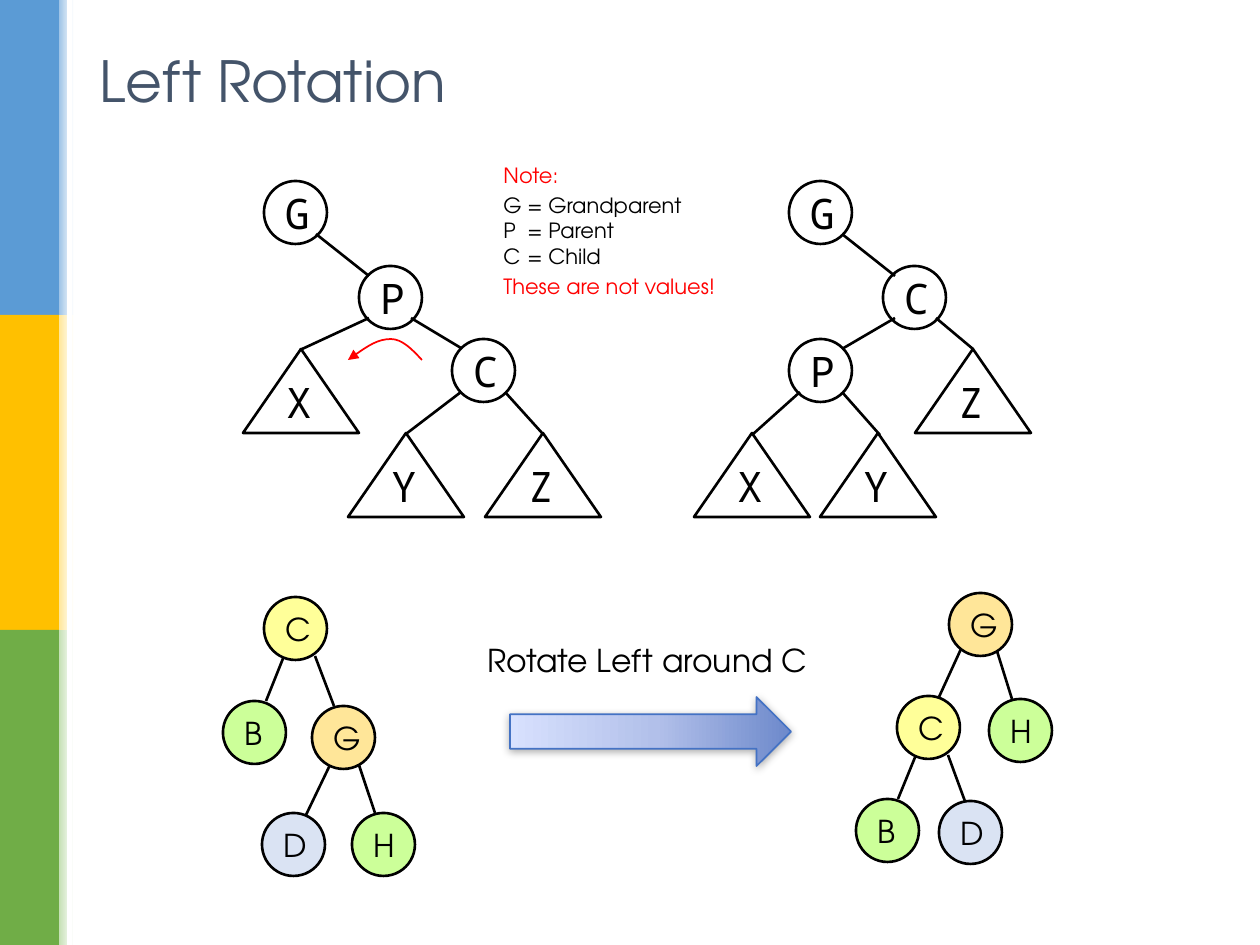
from lxml import etree
from pptx import Presentation
from pptx import util as u
from pptx.dml.color import RGBColor
from pptx.enum import shapes, text
from pptx.oxml import ns

SCALE = 914400 / 126  # EMU in one px
BLACK = RGBColor(0, 0, 0)
WHITE = RGBColor(255, 255, 255)
RED = RGBColor(255, 0, 0)
SLATE = RGBColor(0x44, 0x54, 0x6A)
ARROW_BLUE = RGBColor(0x44, 0x72, 0xC4)
YELLOW = RGBColor(0xFF, 0xFF, 0x99)
GREEN = RGBColor(0xCC, 0xFF, 0x99)
ORANGE = RGBColor(0xFF, 0xE6, 0x99)
PALE_BLUE = RGBColor(0xDA, 0xE3, 0xF3)
NODE_FILLS = {"C": YELLOW, "G": ORANGE, "B": GREEN, "H": GREEN, "D": PALE_BLUE}
BANDS = [(RGBColor(0x5B, 0x9B, 0xD5), RGBColor(0x9D, 0xC3, 0xE6)),
         (RGBColor(0xFF, 0xC0, 0x00), ORANGE),
         (RGBColor(0x70, 0xAD, 0x47), RGBColor(0xC5, 0xE0, 0xB4))]
ARROW_STOPS = [(0, RGBColor(0x6D, 0x89, 0xCB)), (48, RGBColor(0xB2, 0xC0, 0xEA)),
               (100, RGBColor(0xD8, 0xE1, 0xFE))]
SANS, MONO = "TeX Gyre Adventor", "Noto Sans Mono"
NODE = 63
TRIANGLE = (116, 84)
KIND = shapes.MSO_SHAPE
LEFT, CENTER = text.PP_ALIGN.LEFT, text.PP_ALIGN.CENTER


def px(*lengths):
    return [u.Emu(round(n * SCALE)) for n in lengths]


def child(parent, tag, **values):
    return etree.SubElement(parent, ns.qn(tag), values)


def apply(target, formats):
    for name, value in formats.items():
        setattr(target, name, value)


class Canvas:
    def __init__(self, slide):
        self.slide = slide
        self.edge_width = u.Pt(1.5)

    def shape(self, kind, box, fill=None, line=None, width=None):
        shape = self.slide.shapes.add_shape(kind, *px(*box))
        shape.shadow.inherit = False
        self.paint(shape, fill, line, width)
        return shape

    def paint(self, shape, fill, line, width):
        """Fill is a colour, a list of (percent, colour) stops, or None."""
        if fill is None:
            shape.fill.background()
        elif isinstance(fill, list):
            self.gradient(shape, fill)
        else:
            shape.fill.solid()
            shape.fill.fore_color.rgb = fill
        if line is None:
            shape.line.fill.background()
        else:
            shape.line.color.rgb = line
            shape.line.width = width or self.edge_width

    def gradient(self, shape, stops):
        shape.fill.gradient()
        shape.fill.gradient_angle = 0
        stop_list = shape._element.spPr.find(".//" + ns.qn("a:gsLst"))
        for old in list(stop_list):
            stop_list.remove(old)
        for percent, color in stops:
            stop = child(stop_list, "a:gs", pos=str(percent * 1000))
            child(stop, "a:srgbClr", val=str(color))

    def add_words(self, paragraph, words, align=LEFT, color=BLACK, **font):
        paragraph.alignment = align
        run = paragraph.add_run()
        run.text = words
        run.font.color.rgb = color
        apply(run.font, font)

    def label(self, box, lines, wrap=True, middle=False, **style):
        """Put (words, own style, space before) lines in a text box."""
        label = self.slide.shapes.add_textbox(*px(*box))
        frame = label.text_frame
        apply(frame, {
            "word_wrap": wrap,
            "auto_size": text.MSO_AUTO_SIZE.NONE if middle
            else text.MSO_AUTO_SIZE.SHAPE_TO_FIT_TEXT,
            "vertical_anchor": text.MSO_ANCHOR.MIDDLE if middle else text.MSO_ANCHOR.TOP,
        })
        for i, (words, own, gap) in enumerate(lines):
            paragraph = frame.add_paragraph() if i else frame.paragraphs[0]
            paragraph.space_before = u.Pt(gap)
            self.add_words(paragraph, words, **{**style, **own})
            if "\t" in words:
                tabs = child(paragraph._p.get_or_add_pPr(), "a:tabLst")
                child(tabs, "a:tab", pos=str(px(24)[0]), algn="l")

    def edge(self, x1, y1, x2, y2):
        edge = self.slide.shapes.add_connector(
            shapes.MSO_CONNECTOR.STRAIGHT, *px(x1, y1, x2, y2))
        edge.line.color.rgb = BLACK
        edge.line.width = self.edge_width
        child(edge._element.spPr, "a:effectLst")

    def role(self, letter, x, y):
        self.shape(KIND.OVAL, (x, y, NODE, NODE), line=BLACK)
        self.label((x + 2, y, NODE, NODE), [(letter, {}, 0)],
                   align=CENTER, name=MONO, size=u.Pt(24))

    def subtree(self, letter, x, y):
        self.shape(KIND.ISOSCELES_TRIANGLE, (x, y, *TRIANGLE), line=BLACK)
        self.label((x + 31, y + 21, NODE, NODE), [(letter, {}, 0)],
                   name=MONO, size=u.Pt(24))

    def value(self, letter, x, y):
        node = self.shape(KIND.OVAL, (x, y, NODE, NODE), NODE_FILLS[letter], BLACK)
        frame = node.text_frame
        apply(frame, {"word_wrap": False, "vertical_anchor": text.MSO_ANCHOR.MIDDLE})
        self.add_words(frame.paragraphs[0], letter, name=SANS, size=u.Pt(18))

    def curve(self, start, *controls):
        """Draw a Bézier curve with an arrowhead at its start."""
        builder = self.slide.shapes.build_freeform(*start, scale=SCALE)
        builder.add_line_segments(controls, close=False)
        curve = builder.convert_to_shape()
        curve.shadow.inherit = False
        self.paint(curve, None, RED, u.Pt(1))
        outline = curve._element.spPr.find(".//" + ns.qn("a:path"))
        segments = outline.findall(ns.qn("a:lnTo"))
        for i in range(0, len(segments), 3):
            bezier = child(outline, "a:cubicBezTo")
            for segment in segments[i:i + 3]:
                bezier.append(segment[0])
                outline.remove(segment)
        child(curve._element.spPr.get_or_add_ln(), "a:headEnd", type="triangle")

    def rotation_arrow(self, box):
        arrow = self.shape(KIND.DOWN_ARROW, box, ARROW_STOPS, ARROW_BLUE, u.Pt(1))
        arrow.rotation = 270
        arrow.fill.gradient_angle = 90
        effects = arrow._element.spPr.find(ns.qn("a:effectLst"))
        shadow = child(effects, "a:outerShdw", blurRad="63500", dist="12700", dir="5400000")
        child(child(shadow, "a:srgbClr", val=str(BLACK)), "a:alpha", val="32000")


ROLE_TREES = {
    "edges": [(406, 434, 461, 392), (542, 433, 505, 392), (300, 350, 369, 318),
              (461, 348, 411, 318), (369, 276, 316, 234),
              (842, 349, 895, 318), (973, 349, 936, 318), (895, 276, 842, 234),
              (752, 435, 800, 392), (880, 435, 842, 392)],
    "subtrees": [("X", 243, 349), ("Y", 348, 433), ("Z", 485, 433),
                 ("Z", 915, 349), ("X", 694, 433), ("Y", 820, 433)],
    "roles": [("G", 264, 181), ("P", 359, 266), ("C", 452, 339),
              ("G", 789, 181), ("C", 883, 266), ("P", 789, 339)],
}
VALUE_TREES = {
    "edges": [(284, 656, 266, 701), (315, 656, 334, 706), (359, 765, 375, 813),
              (330, 765, 306, 815),
              (997, 651, 1012, 699), (961, 649, 939, 697), (916, 755, 898, 799),
              (948, 755, 966, 804)],
    "values": [("C", 264, 597), ("B", 223, 701), ("G", 312, 706), ("H", 352, 813),
               ("D", 262, 813),
               ("G", 949, 593), ("H", 989, 699), ("C", 897, 696), ("B", 856, 799),
               ("D", 939, 801)],
}
NOTE = [("Note:", {"color": RED}, 0), ("G\t= Grandparent", {}, 3), ("P\t= Parent", {}, 0),
        ("C\t= Child", {}, 0), ("These are not values!", {"color": RED}, 3)]


def main():
    deck = Presentation()
    deck.slide_width, deck.slide_height = px(1260, 945)
    canvas = Canvas(deck.slides.add_slide(deck.slide_layouts[6]))

    for i, (color, tint) in enumerate(BANDS):
        canvas.shape(KIND.RECTANGLE, (0, 315 * i, 59, 315), color)
        canvas.shape(KIND.RECTANGLE, (59, 315 * i, 15, 315), [(0, tint), (100, WHITE)])
    canvas.shape(KIND.RECTANGLE, (67, 0, 5, 945), WHITE)
    canvas.label((87, 37, 1086, 86), [("Left Rotation", {}, 0)], middle=True,
                 name=SANS, size=u.Pt(32.4), color=SLATE)

    for trees in (ROLE_TREES, VALUE_TREES):
        for ends in trees["edges"]:
            canvas.edge(*ends)
    for subtree in ROLE_TREES["subtrees"]:
        canvas.subtree(*subtree)
    for role in ROLE_TREES["roles"]:
        canvas.role(*role)
    for value in VALUE_TREES["values"]:
        canvas.value(*value)

    canvas.curve((348, 360), (363, 349), (378, 339), (391, 339),
                 (402, 339), (412, 349), (422, 360))
    canvas.rotation_arrow((616, 591, 69, 281))
    canvas.label((475, 635, 350, 50), [("Rotate Left around C", {}, 0)], wrap=False,
                 name=SANS, size=u.Pt(18))
    canvas.label((491, 156, 241, 152), NOTE, wrap=False, name=SANS, size=u.Pt(12))
    deck.save("out.pptx")


if __name__ == "__main__":
    main()
